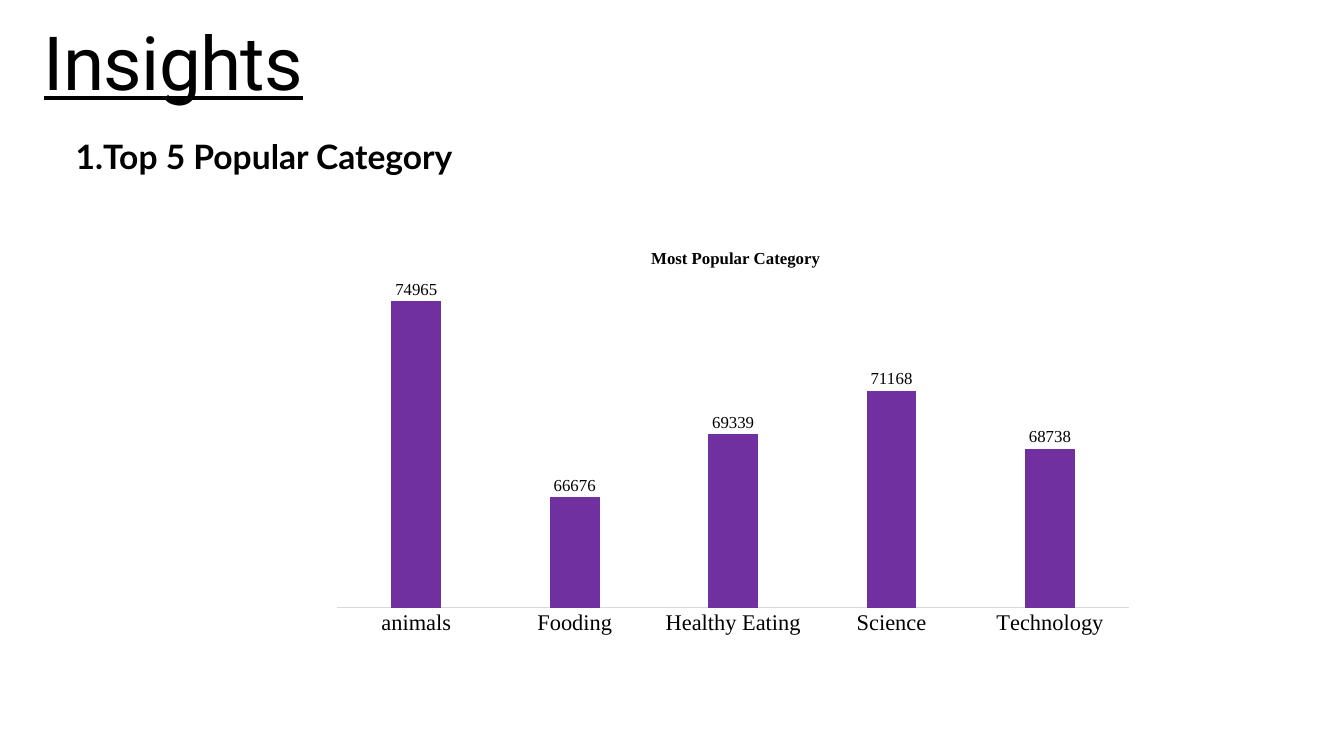
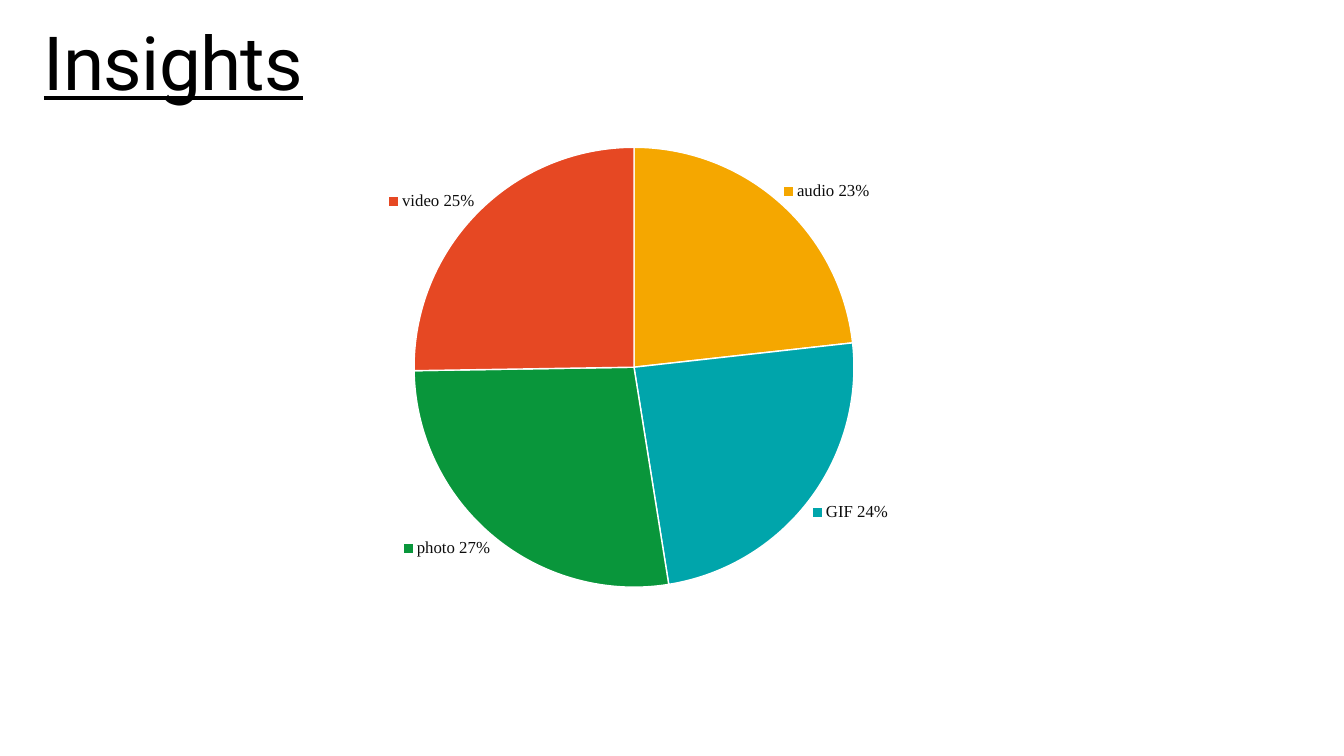
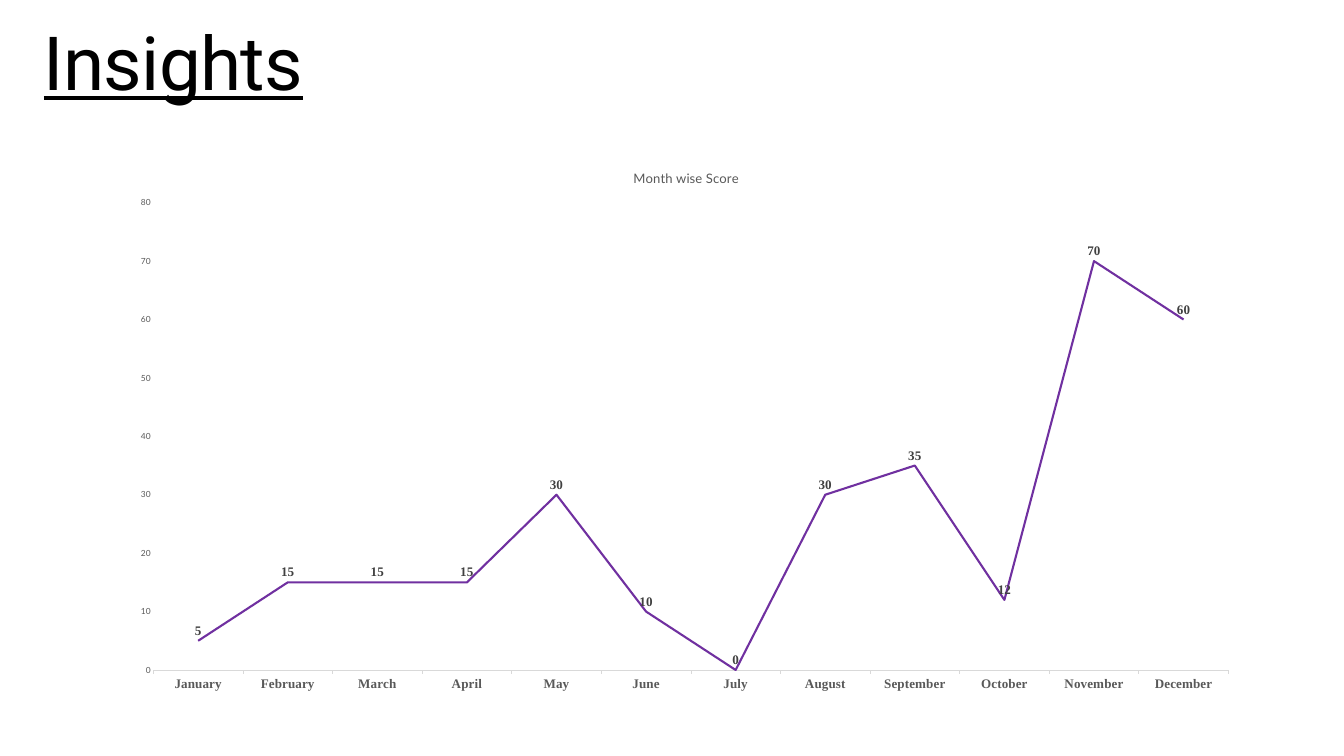
"""Build three insight slides with a column, a pie and a line chart."""
from dataclasses import dataclass

from pptx import Presentation
from pptx import util as u
from pptx.chart import chart as ch
from pptx.chart import data as cd
from pptx.dml import color
from pptx.enum import chart as ec
from pptx.oxml import ns, xmlchemy
from pptx.slide import Slide
from pptx.text import text as tt


@dataclass(frozen=True)
class TextStyle:
    font: str
    size: float
    color: str
    bold: bool = False
    underline: bool = False


@dataclass(frozen=True)
class Theme:
    purple: str = "7030A0"
    axis_line: str = "D9D9D9"
    white: str = "FFFFFF"
    slices: tuple[str, ...] = ("F5A700", "00A5AB", "09963B", "E64823")
    heading: TextStyle = TextStyle("Roboto", 80, "000000", underline=True)
    subheading: TextStyle = TextStyle("Lato", 36, "000000", bold=True)
    base: TextStyle = TextStyle("Lato", 10, "000000")
    column_title: TextStyle = TextStyle("Times New Roman", 18, "000000", bold=True)
    column_axis: TextStyle = TextStyle("Times New Roman", 24, "000000")
    column_label: TextStyle = TextStyle("Times New Roman", 18, "000000")
    pie_label: TextStyle = TextStyle("Times New Roman", 18, "0D0D0D")
    line_title: TextStyle = TextStyle("Lato", 14, "595959")
    month_axis: TextStyle = TextStyle("Times New Roman", 14, "595959", bold=True)
    score_axis: TextStyle = TextStyle("Lato", 9, "595959")
    score_label: TextStyle = TextStyle("Times New Roman", 14, "404040", bold=True)


@dataclass(frozen=True)
class Box:
    left: float
    top: float
    width: float
    height: float

    def lengths(self) -> tuple[u.Length, ...]:
        return u.Pt(self.left), u.Pt(self.top), u.Pt(self.width), u.Pt(self.height)


@dataclass(frozen=True)
class ChartTitle:
    words: str
    style: TextStyle
    left: float
    top: float


@dataclass(frozen=True)
class ChartPanel:
    kind: ec.XL_CHART_TYPE
    box: Box
    plot: Box
    values: dict[str, float]
    label_style: TextStyle
    label_position: ec.XL_LABEL_POSITION
    title: ChartTitle | None = None


THEME = Theme()
HEADING_BOX = Box(47, 17.25, 395, 97)
SUBHEADING_BOX = Box(74, 142, 495, 51)

CATEGORY_PANEL = ChartPanel(
    ec.XL_CHART_TYPE.COLUMN_CLUSTERED,
    Box(343.5, 245.5, 884, 445),
    Box(0.02, 0.115, 0.96, 0.797),
    {"animals": 74965, "Fooding": 66676, "Healthy Eating": 69339,
     "Science": 71168, "Technology": 68738},
    THEME.column_label,
    ec.XL_LABEL_POSITION.OUTSIDE_END,
    ChartTitle("Most Popular Category", THEME.column_title, 0.397, 0.038),
)
CONTENT_PANEL = ChartPanel(
    ec.XL_CHART_TYPE.PIE,
    Box(290, 147, 775.5, 492),
    Box(0.198, 0.022, 0.608, 0.958),
    {"audio": 23, "GIF": 24, "photo": 27, "video": 25},
    THEME.pie_label,
    ec.XL_LABEL_POSITION.OUTSIDE_END,
)
MONTH_PANEL = ChartPanel(
    ec.XL_CHART_TYPE.LINE,
    Box(126.75, 159, 1212.5, 594),
    Box(0.031, 0.098, 0.95, 0.843),
    {"January": 5, "February": 15, "March": 15, "April": 15, "May": 30, "June": 10,
     "July": 0, "August": 30, "September": 35, "October": 12, "November": 70,
     "December": 60},
    THEME.score_label,
    ec.XL_LABEL_POSITION.ABOVE,
    ChartTitle("Month wise Score", THEME.line_title, 0.453, 0.033),
)


def rgb(value: str) -> color.RGBColor:
    return color.RGBColor.from_string(value)


def apply_style(font: tt.Font, style: TextStyle) -> None:
    font.name = style.font
    font.size = u.Pt(style.size)
    font.color.rgb = rgb(style.color)
    font.bold = style.bold
    font.underline = style.underline


def add_text(slide: Slide, box: Box, words: str, style: TextStyle) -> tt.TextFrame:
    frame = slide.shapes.add_textbox(*box.lengths()).text_frame
    frame.word_wrap = True
    run = frame.paragraphs[0].add_run()
    run.text = words
    apply_style(run.font, style)
    return frame


def add_heading(slide: Slide) -> None:
    frame = add_text(slide, HEADING_BOX, "Insights", THEME.heading)
    frame.margin_left = frame.margin_top = frame.margin_right = frame.margin_bottom = 0
    paragraph = frame.paragraphs[0]
    paragraph.line_spacing = u.Pt(96)
    paragraph.runs[0]._r.get_or_add_rPr().set("spc", "-80")


def add_numbered_subheading(slide: Slide, words: str) -> None:
    frame = add_text(slide, SUBHEADING_BOX, words, THEME.subheading)
    properties = frame.paragraphs[0]._p.get_or_add_pPr()
    indent = u.Pt(27)
    properties.set("marL", str(indent))
    properties.set("indent", str(-indent))
    number = xmlchemy.OxmlElement("a:buAutoNum")
    number.set("type", "arabicPeriod")
    properties.append(number)


def set_layout(parent: xmlchemy.BaseOxmlElement, index: int,
               values: dict[str, str | float]) -> None:
    for old in parent.findall(ns.qn("c:layout")):
        parent.remove(old)
    layout = xmlchemy.OxmlElement("c:layout")
    manual = xmlchemy.OxmlElement("c:manualLayout")
    layout.append(manual)
    for name, value in values.items():
        item = xmlchemy.OxmlElement(f"c:{name}")
        item.set("val", str(value))
        manual.append(item)
    parent.insert(index, layout)


def add_chart_title(chart: ch.Chart, title: ChartTitle) -> None:
    run = chart.chart_title.text_frame.paragraphs[0].add_run()
    run.text = title.words
    apply_style(run.font, title.style)
    chart.chart_title.include_in_layout = False
    set_layout(chart.chart_title.element, 1, {
        "xMode": "edge", "yMode": "edge", "x": title.left, "y": title.top})


def add_panel(slide: Slide, panel: ChartPanel) -> ch.Chart:
    chart_data = cd.CategoryChartData()
    chart_data.categories = list(panel.values)
    chart_data.add_series("Series 1", list(panel.values.values()))
    chart = slide.shapes.add_chart(panel.kind, *panel.box.lengths(), chart_data).chart
    apply_style(chart.font, THEME.base)
    chart.has_legend = False
    chart.has_title = panel.title is not None
    if panel.title:
        add_chart_title(chart, panel.title)
    plot = chart.plots[0]
    plot.vary_by_categories = panel.kind == ec.XL_CHART_TYPE.PIE
    plot.has_data_labels = True
    plot.data_labels.show_value = True
    plot.data_labels.position = panel.label_position
    apply_style(plot.data_labels.font, panel.label_style)
    set_layout(chart.element.chart.plotArea, 0, {
        "layoutTarget": "inner", "xMode": "edge", "yMode": "edge",
        "x": panel.plot.left, "y": panel.plot.top,
        "w": panel.plot.width, "h": panel.plot.height})
    return chart


def format_axes(chart: ch.Chart, style: TextStyle, tick: ec.XL_TICK_MARK,
                minimum: float, maximum: float) -> None:
    category_axis, value_axis = chart.category_axis, chart.value_axis
    apply_style(category_axis.tick_labels.font, style)
    category_axis.major_tick_mark = tick
    category_axis.format.line.color.rgb = rgb(THEME.axis_line)
    category_axis.format.line.width = u.Pt(0.75)
    value_axis.has_major_gridlines = False
    value_axis.major_tick_mark = ec.XL_TICK_MARK.NONE
    value_axis.minimum_scale = minimum
    value_axis.maximum_scale = maximum


def build_category_slide(slide: Slide) -> None:
    add_heading(slide)
    chart = add_panel(slide, CATEGORY_PANEL)
    format_axes(chart, THEME.column_axis, ec.XL_TICK_MARK.NONE, 62000, 76000)
    chart.value_axis.visible = False
    plot = chart.plots[0]
    plot.gap_width = 219
    plot.overlap = -27
    fill = plot.series[0].format.fill
    fill.solid()
    fill.fore_color.rgb = rgb(THEME.purple)
    add_numbered_subheading(slide, "Top 5 Popular Category")


def build_content_slide(slide: Slide) -> None:
    plot = add_panel(slide, CONTENT_PANEL).plots[0]
    for index, slice_color in enumerate(THEME.slices):
        slice_format = plot.series[0].points[index].format
        slice_format.fill.solid()
        slice_format.fill.fore_color.rgb = rgb(slice_color)
        slice_format.line.color.rgb = rgb(THEME.white)
        slice_format.line.width = u.Pt(1.5)
    labels = plot.data_labels
    labels.show_value = False
    labels.show_legend_key = True
    labels.show_category_name = True
    labels.show_percentage = True
    labels.number_format = "0%"
    labels.number_format_is_linked = False
    separator = xmlchemy.OxmlElement("c:separator")
    separator.text = " "
    labels._element.find(ns.qn("c:showBubbleSize")).addnext(separator)
    add_heading(slide)


def build_month_slide(slide: Slide) -> None:
    chart = add_panel(slide, MONTH_PANEL)
    format_axes(chart, THEME.month_axis, ec.XL_TICK_MARK.OUTSIDE, 0, 80)
    chart.value_axis.major_unit = 10
    chart.value_axis.format.line.fill.background()
    apply_style(chart.value_axis.tick_labels.font, THEME.score_axis)
    series = chart.plots[0].series[0]
    series.smooth = False
    series.marker.style = ec.XL_MARKER_STYLE.NONE
    series.format.line.color.rgb = rgb(THEME.purple)
    series.format.line.width = u.Pt(2.25)
    add_heading(slide)


def main() -> None:
    presentation = Presentation()
    presentation.slide_width = u.Pt(1440)
    presentation.slide_height = u.Pt(810)
    for build in (build_category_slide, build_content_slide, build_month_slide):
        build(presentation.slides.add_slide(presentation.slide_layouts[6]))
    presentation.save("out.pptx")


if __name__ == "__main__":
    main()
